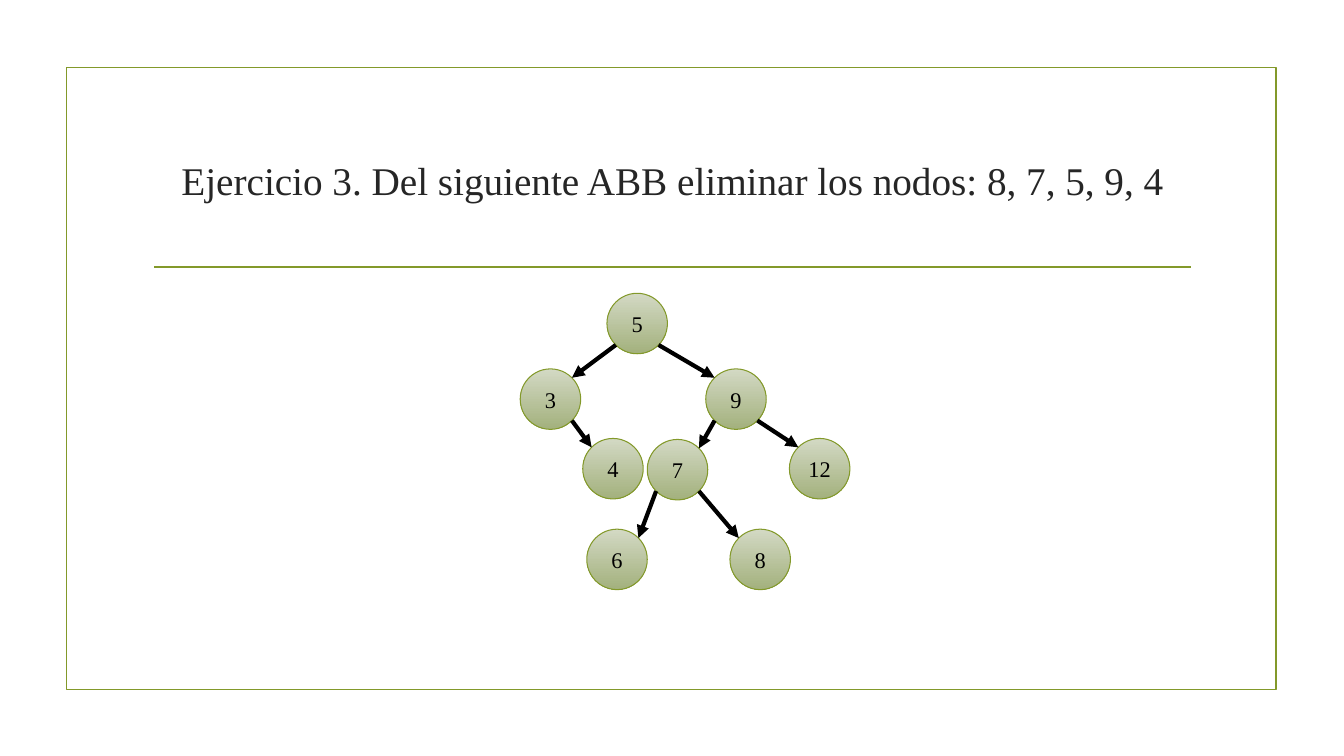
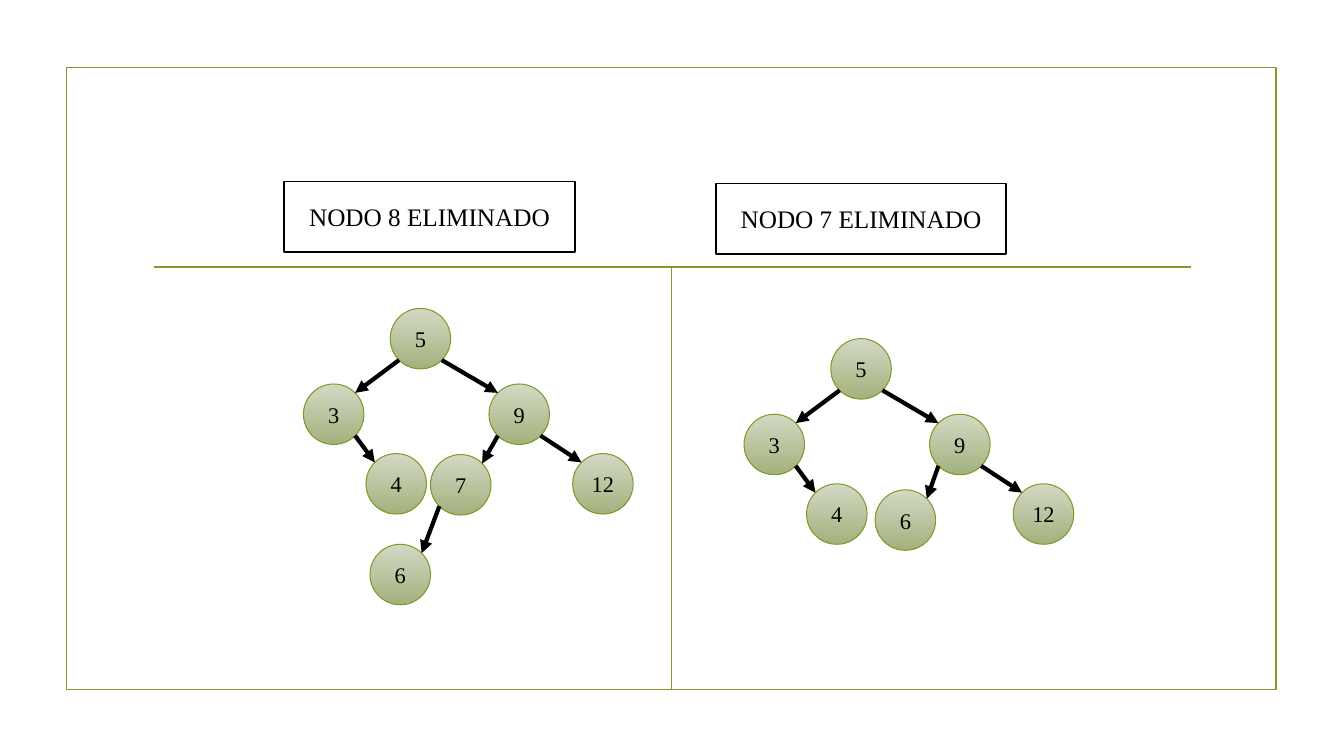
"""Build two slides about deleting nodes from a binary search tree."""
from math import cos, pi

from lxml.etree import SubElement
from pptx import Presentation
from pptx.dml.color import RGBColor
from pptx.enum.shapes import MSO_CONNECTOR, MSO_SHAPE
from pptx.enum.text import MSO_ANCHOR, PP_ALIGN
from pptx.oxml.ns import qn
from pptx.util import Inches, Pt

GREEN = RGBColor(0x83, 0x99, 0x2A)
NODE_TOP = RGBColor(0xD3, 0xD9, 0xC4)
NODE_BOTTOM = RGBColor(0xA3, 0xB1, 0x7D)
BLACK = RGBColor(0, 0, 0)
WHITE = RGBColor(0xFF, 0xFF, 0xFF)
TITLE_COLOR = RGBColor(0x26, 0x26, 0x26)
FONT = "Times New Roman"

RULE_Y = 2.65
NODE_SIZE = 0.6
CORNER = NODE_SIZE / 2 * (1 - cos(pi / 4))

NODE_OFFSETS = {
    5: (0, 0), 3: (-0.86, 0.75), 9: (0.98, 0.75), 4: (-0.24, 1.44),
    7: (0.4, 1.45), 12: (1.81, 1.44), 6: (-0.2, 2.34), 8: (1.22, 2.34),
}
EDGES = [(5, 3), (3, 4), (5, 9), (9, 7), (9, 12), (7, 6), (7, 8)]


def set_text(sp, text, size, color=BLACK):
    """Write one centred line of text in a shape."""
    tf = sp.text_frame
    tf.text = text
    tf.vertical_anchor = MSO_ANCHOR.MIDDLE
    p = tf.paragraphs[0]
    p.alignment = PP_ALIGN.CENTER
    font = p.runs[0].font
    font.name, font.size = FONT, Pt(size)
    font.color.rgb = color


def add_outlined(s, kind, x, y, w, h, color, width):
    """Add a shape with an outline and no shadow."""
    sp = s.shapes.add_shape(kind, Inches(x), Inches(y), Inches(w), Inches(h))
    sp.shadow.inherit = False
    sp.line.color.rgb = color
    sp.line.width = Pt(width)
    return sp


def add_line(s, start, end, color, width, arrow=False):
    """Add a straight line, with an arrowhead at its end if wanted."""
    points = [Inches(v) for v in (*start, *end)]
    line = s.shapes.add_connector(MSO_CONNECTOR.STRAIGHT, *points)
    line.line.color.rgb = color
    line.line.width = Pt(width)
    if arrow:
        SubElement(line.line._get_or_add_ln(), qn("a:tailEnd"), type="triangle")
    SubElement(line._element.spPr, qn("a:effectLst"))
    return line


def add_base(prs):
    """Add a slide with the frame and rule; return the slide and its frame."""
    s = prs.slides.add_slide(prs.slide_layouts[6])
    frame = add_outlined(s, MSO_SHAPE.RECTANGLE, 0.66, 0.67, 12, 6.17, GREEN, 1.25)
    frame.fill.background()
    add_line(s, (1.53, RULE_Y), (11.81, RULE_Y), GREEN, 1.25)
    return s, frame


def add_title(s, text):
    """Add the slide title."""
    sp = s.shapes.add_textbox(Inches(1.42), Inches(1.07), Inches(10.5), Inches(1.43))
    sp.text_frame.word_wrap = True
    set_text(sp, text, 28, TITLE_COLOR)


def add_label(s, x, y, text):
    """Add a boxed heading above a tree."""
    sp = add_outlined(s, MSO_SHAPE.RECTANGLE, x, y, 2.88, 0.7, BLACK, 1.25)
    sp.fill.solid()
    sp.fill.fore_color.rgb = WHITE
    set_text(sp, text, 18)


def add_node(s, x, y, value):
    """Add one round tree node."""
    sp = add_outlined(s, MSO_SHAPE.OVAL, x, y, NODE_SIZE, NODE_SIZE, GREEN, 0.75)
    sp.fill.gradient()
    sp.fill.gradient_angle = 270
    for stop, color in zip(sp.fill.gradient_stops, (NODE_TOP, NODE_BOTTOM)):
        stop.color.rgb = color
    set_text(sp, str(value), 16)
    tf = sp.text_frame
    tf.word_wrap = False
    tf.margin_left = tf.margin_right = 0


def add_edge(s, parent, child):
    """Add an arrow from a parent's lower corner to a child's upper corner."""
    near, far = CORNER, NODE_SIZE - CORNER
    goes_left = child[0] < parent[0]
    start_dx, end_dx = (near, far) if goes_left else (far, near)
    start = parent[0] + start_dx, parent[1] + far
    end = child[0] + end_dx, child[1] + near
    add_line(s, start, end, BLACK, 3, arrow=True)


def add_tree(s, x, y, offsets, edges):
    """Draw a tree whose root has its top left corner at x, y."""
    places = {value: (x + dx, y + dy) for value, (dx, dy) in offsets.items()}
    for value, place in places.items():
        add_node(s, *place, value)
    for parent, child in edges:
        add_edge(s, places[parent], places[child])


def without(value, offsets, edges):
    """Return the tree data with one leaf removed."""
    return ({k: v for k, v in offsets.items() if k != value},
            [edge for edge in edges if value not in edge])


def add_exercise_slide(prs):
    """Add the exercise statement and the full tree."""
    s, _ = add_base(prs)
    add_title(s, "Ejercicio 3. Del siguiente ABB eliminar los nodos: 8, 7, 5, 9, 4")
    add_tree(s, 6.02, 2.91, NODE_OFFSETS, EDGES)


def add_deletion_slide(prs):
    """Add the trees left after deleting 8 and then 7."""
    s, frame = add_base(prs)
    offsets, edges = without(8, NODE_OFFSETS, EDGES)
    add_tree(s, 3.87, 3.06, offsets, edges)
    offsets, edges = without(7, offsets, edges)
    add_tree(s, 8.24, 3.36, {**offsets, 6: (0.44, 1.5)}, edges + [(9, 6)])
    add_label(s, 2.82, 1.8, "NODO 8 ELIMINADO")
    add_label(s, 7.1, 1.82, "NODO 7 ELIMINADO")
    divider = add_line(s, (6.66, RULE_Y), (6.66, 6.84), GREEN, 0.75)
    divider.end_connect(frame, 2)


def main():
    """Build and save the presentation."""
    prs = Presentation()
    prs.slide_width, prs.slide_height = Inches(13.33), Inches(7.5)
    add_exercise_slide(prs)
    add_deletion_slide(prs)
    prs.save("out.pptx")


if __name__ == "__main__":
    main()
